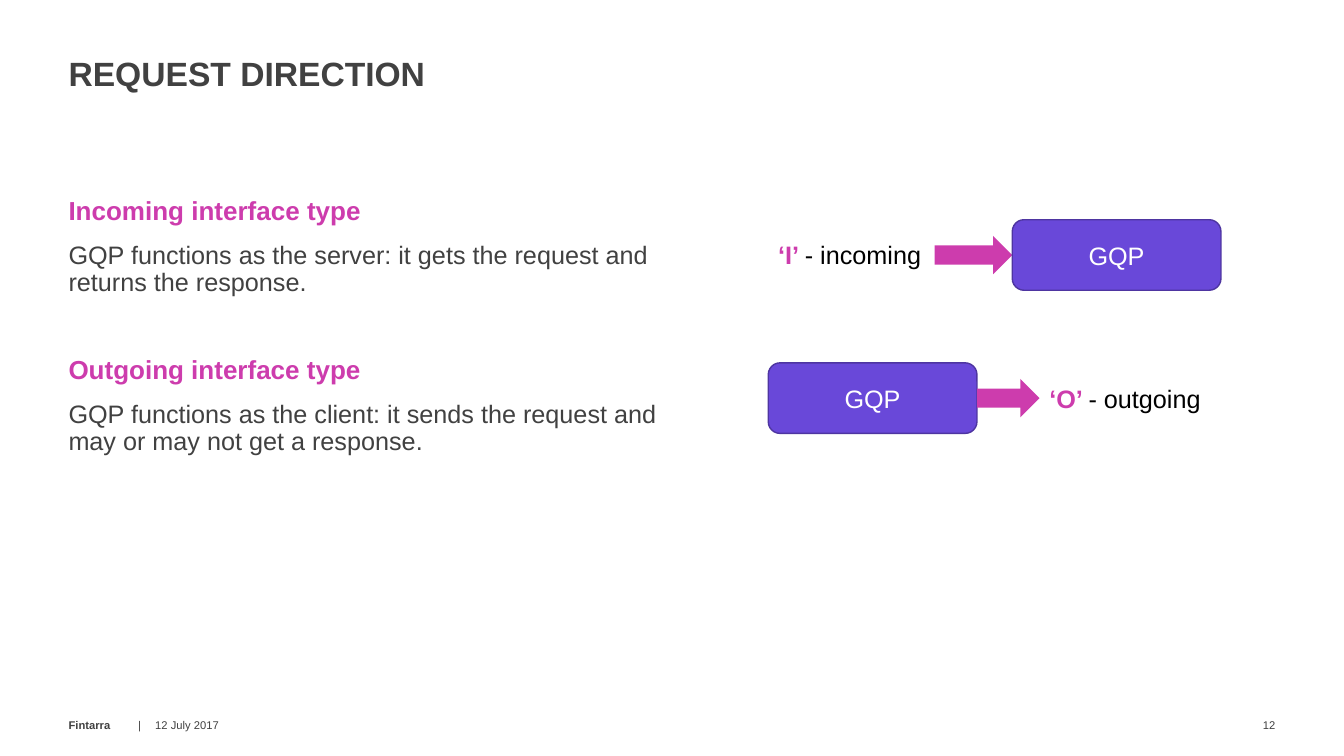
from lxml import etree
from pptx import Presentation
from pptx.dml.color import RGBColor
from pptx.enum.shapes import MSO_SHAPE
from pptx.enum.text import MSO_ANCHOR, MSO_AUTO_SIZE, PP_ALIGN
from pptx.oxml.ns import qn
from pptx.util import Inches, Pt

ROUNDED = MSO_SHAPE.ROUNDED_RECTANGLE
ARROW = MSO_SHAPE.RIGHT_ARROW
TOP, MIDDLE, BOTTOM = MSO_ANCHOR.TOP, MSO_ANCHOR.MIDDLE, MSO_ANCHOR.BOTTOM
LEFT, CENTER, RIGHT = PP_ALIGN.LEFT, PP_ALIGN.CENTER, PP_ALIGN.RIGHT

GREY = RGBColor(0x41, 0x41, 0x41)
PINK = RGBColor(0xCD, 0x3C, 0xAD)
PURPLE = RGBColor(0x69, 0x48, 0xD9)
DARK_PURPLE = RGBColor(0x4E, 0x35, 0xA1)
BLACK = RGBColor(0, 0, 0)
WHITE = RGBColor(0xFF, 0xFF, 0xFF)

TITLE = "REQUEST DIRECTION"
SECTIONS = [
    ("Incoming interface type",
     "GQP functions as the server: it gets the request and returns the response."),
    ("Outgoing interface type",
     "GQP functions as the client: it sends the request and may or may not get a response."),
]
FLOWS = [
    (2.53, [("label", 1.65, ("‘I’ ", "- incoming")), ("arrow", 0.77, None), ("box", 2.07, "GQP")]),
    (3.95, [("box", 2.07, "GQP"), ("arrow", 0.62, None), ("label", 1.73, ("‘O’ ", "- outgoing"))]),
]
COMPANY, DATE, PAGE = "Fintarra", "12 July 2017", "12"

MARGIN = 0.68
FLOW_LEFT = 7.62
FOOTER_TOP, FOOTER_HEIGHT = 6.99, 0.4
HEIGHTS = {"label": 0.4, "arrow": 0.38, "box": 0.7}
SECTION_GAP = 43


def write(paragraph, text, size=18, color=GREY, bold=False, align=LEFT, before=0, spacing=1.0):
    paragraph.alignment = align
    paragraph.space_before = Pt(before)
    paragraph.line_spacing = spacing
    run = paragraph.add_run()
    run.text = text
    run.font.name = "Arial"
    run.font.size = Pt(size)
    run.font.bold = bold
    run.font.color.rgb = color


def set_frame(shape, anchor=TOP, inset=0, wrap=True):
    frame = shape.text_frame
    frame.word_wrap = wrap
    frame.auto_size = MSO_AUTO_SIZE.NONE
    frame.vertical_anchor = anchor
    frame.margin_left = frame.margin_right = Inches(inset)
    frame.margin_top = frame.margin_bottom = Inches(inset / 2)
    return frame


def add_text_box(slide, left, top, width, height, **frame_format):
    box = slide.shapes.add_textbox(Inches(left), Inches(top), Inches(width), Inches(height))
    return set_frame(box, **frame_format)


def add_block(slide, preset, place, fill, outline=None):
    shape = slide.shapes.add_shape(preset, *map(Inches, place))
    shape.shadow.inherit = False
    shape.fill.solid()
    shape.fill.fore_color.rgb = fill
    if outline is None:
        shape.line.fill.background()
    else:
        shape.line.color.rgb = outline
        shape.line.width = Pt(1)
    return shape


def add_title(slide):
    title = slide.shapes.title
    title.left, title.top = Inches(MARGIN), Inches(0.19)
    title.width, title.height = Inches(10.6), Inches(0.73)
    frame = set_frame(title, anchor=BOTTOM)
    write(frame.paragraphs[0], TITLE, size=24, bold=True, spacing=0.8)


def add_sections(slide):
    frame = add_text_box(slide, MARGIN, 1.96, 5.87, 4.99)
    for index, (heading, description) in enumerate(SECTIONS):
        paragraph = frame.add_paragraph() if index else frame.paragraphs[0]
        write(paragraph, heading, size=18.6, color=PINK, bold=True,
              before=SECTION_GAP if index else 12, spacing=0.9)
        write(frame.add_paragraph(), description, before=12, spacing=0.9)


def add_flow(slide, middle, parts):
    left = FLOW_LEFT
    for kind, width, text in parts:
        height = HEIGHTS[kind]
        place = (left, middle - height / 2, width, height)
        if kind == "label":
            paragraph = add_text_box(slide, *place, inset=0.1, wrap=False).paragraphs[0]
            write(paragraph, text[0], color=PINK, bold=True)
            write(paragraph, text[1], color=BLACK)
        elif kind == "arrow":
            add_block(slide, ARROW, place, PINK)
        else:
            box = add_block(slide, ROUNDED, place, PURPLE, DARK_PURPLE)
            frame = set_frame(box, anchor=MIDDLE, inset=0.1)
            write(frame.paragraphs[0], text, color=WHITE, align=CENTER)
        left += width


def add_footer(slide):
    def footer_paragraph(left, width):
        frame = add_text_box(slide, left, FOOTER_TOP, width, FOOTER_HEIGHT, anchor=MIDDLE)
        return frame.paragraphs[0]

    company = footer_paragraph(MARGIN, 0.89)
    write(company, COMPANY, size=8, bold=True)
    write(company, "\t|", size=8)
    tabs = etree.SubElement(company._p.get_or_add_pPr(), qn("a:tabLst"))
    etree.SubElement(tabs, qn("a:tab"), pos=str(Inches(0.69)), algn="l")
    write(footer_paragraph(1.54, 1.53), DATE, size=8)
    write(footer_paragraph(12.11, 0.54), PAGE, size=8, align=RIGHT)


def main():
    presentation = Presentation()
    presentation.slide_width = Inches(13.33)
    presentation.slide_height = Inches(7.5)
    slide = presentation.slides.add_slide(presentation.slide_layouts[5])
    add_title(slide)
    add_sections(slide)
    for middle, parts in FLOWS:
        add_flow(slide, middle, parts)
    add_footer(slide)
    presentation.save("out.pptx")


if __name__ == "__main__":
    main()
